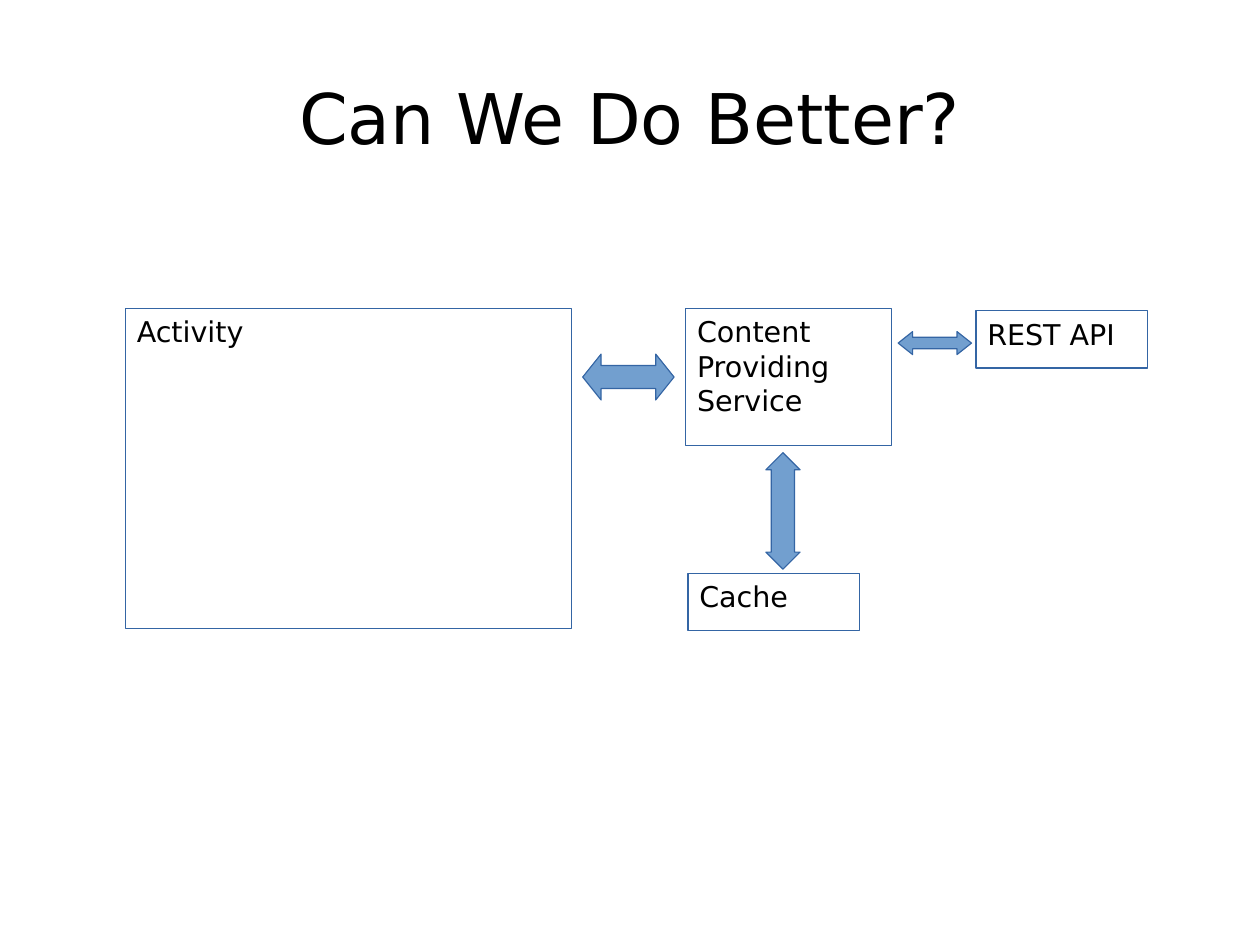
from pptx import Presentation
from pptx.dml.color import RGBColor
from pptx.enum.shapes import MSO_SHAPE
from pptx.enum.text import MSO_ANCHOR, PP_ALIGN
from pptx.util import Cm, Pt

FONT = "DejaVu Sans"
BLACK, WHITE, BLUE, OUTLINE = "000000", "FFFFFF", "729FCF", "3465A4"


def rgb(value):
    """Turn a hex string into a colour."""
    return RGBColor.from_string(value)


def style_text(p, size, align):
    """Set the font and alignment of a paragraph."""
    p.alignment = align
    p.font.name = FONT
    p.font.size = Pt(size)
    p.font.color.rgb = rgb(BLACK)


def add_title(slide, text):
    """Place and fill the title placeholder."""
    sp = slide.shapes.title
    sp.left, sp.top, sp.width, sp.height = Cm(1.4), Cm(0.84), Cm(25.2), Cm(3.5)
    tf = sp.text_frame
    tf.margin_left = tf.margin_right = tf.margin_top = tf.margin_bottom = 0
    tf.vertical_anchor = MSO_ANCHOR.MIDDLE
    tf.text = text
    style_text(tf.paragraphs[0], 44, PP_ALIGN.CENTER)


def add_outlined(slide, kind, box, fill):
    """Add a filled preset shape with a hairline outline; box is in cm."""
    sp = slide.shapes.add_shape(kind, *map(Cm, box))
    sp.shadow.inherit = False
    sp.fill.solid()
    sp.fill.fore_color.rgb = rgb(fill)
    sp.line.color.rgb = rgb(OUTLINE)
    sp.line.width = Pt(0)
    return sp


def add_component(slide, text, box):
    """Add a white box with its label at the top left."""
    tf = add_outlined(slide, MSO_SHAPE.RECTANGLE, box, WHITE).text_frame
    tf.word_wrap = True
    tf.vertical_anchor = MSO_ANCHOR.TOP
    tf.text = text
    for p in tf.paragraphs:
        style_text(p, 18, PP_ALIGN.LEFT)


def add_arrow(slide, kind, box, head):
    """Add a double arrow; head is its head length over its thickness."""
    sp = add_outlined(slide, kind, box, BLUE)
    sp.adjustments[0] = 0.5
    sp.adjustments[1] = head


def main():
    """Build the slide and save it."""
    prs = Presentation()
    prs.slide_width, prs.slide_height = Cm(28), Cm(21)
    slide = prs.slides.add_slide(prs.slide_layouts[5])
    add_title(slide, "Can We Do Better?")

    components = [
        ("Content\nProviding\nService", (15.24, 6.86, 4.57, 3.05)),
        ("Activity", (2.79, 6.86, 9.91, 7.11)),
        ("REST API", (21.69, 6.91, 3.81, 1.27)),
        ("Cache", (15.29, 12.75, 3.81, 1.27)),
    ]
    for text, box in components:
        add_component(slide, text, box)

    arrows = [
        (MSO_SHAPE.UP_DOWN_ARROW, (17.02, 10.06, 0.76, 2.59), 0.68),
        (MSO_SHAPE.LEFT_RIGHT_ARROW, (19.96, 7.37, 1.63, 0.51), 0.63),
        (MSO_SHAPE.LEFT_RIGHT_ARROW, (12.95, 7.87, 2.03, 1.02), 0.4),
    ]
    for kind, box, head in arrows:
        add_arrow(slide, kind, box, head)

    prs.save("out.pptx")


main()
